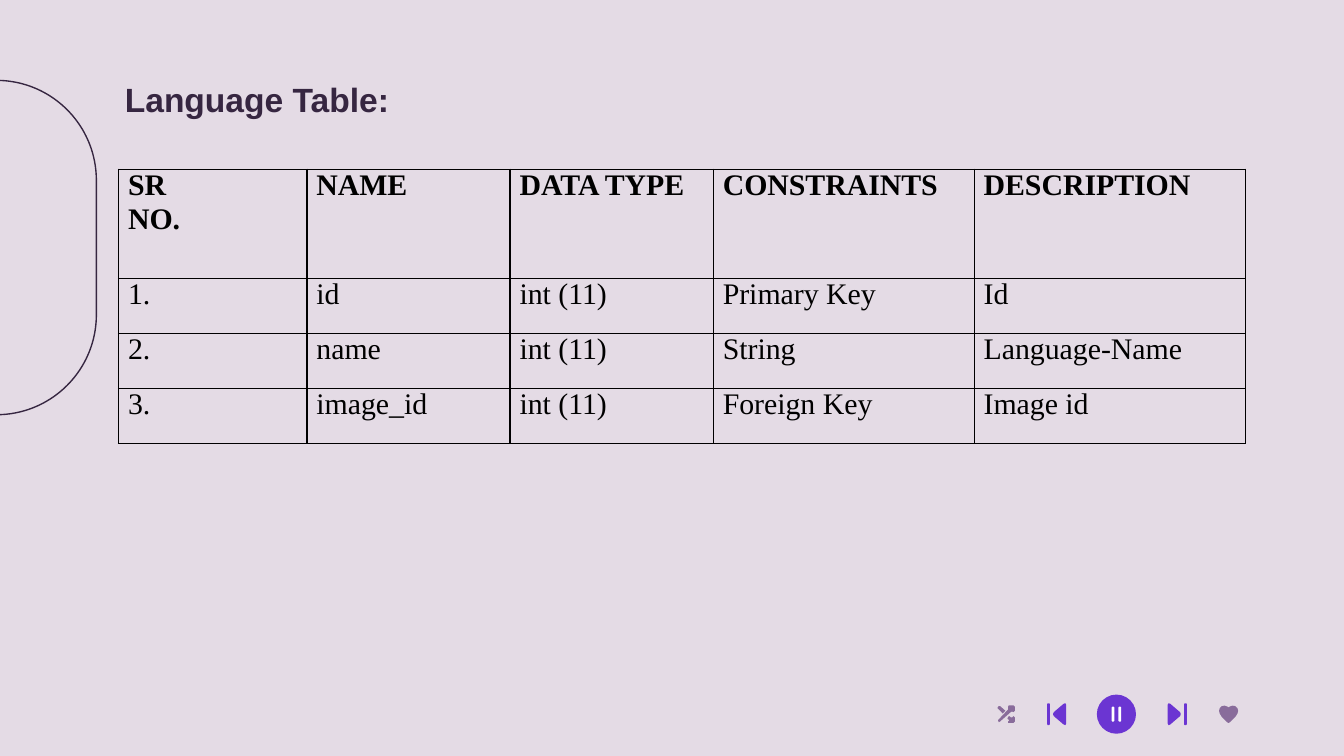
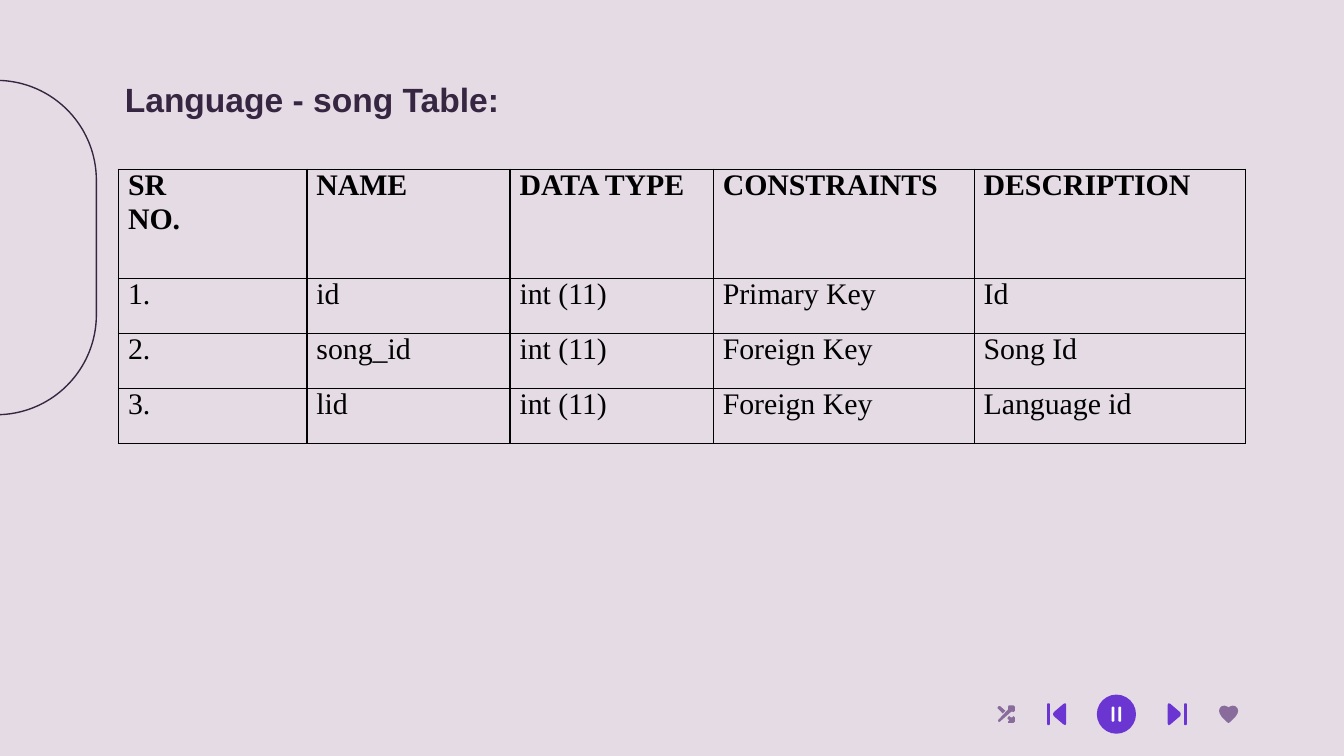
from lxml import etree
from pptx import Presentation
from pptx.dml.color import RGBColor
from pptx.enum.shapes import MSO_SHAPE
from pptx.enum.text import MSO_ANCHOR, MSO_AUTO_SIZE, PP_ALIGN
from pptx.oxml.ns import qn
from pptx.util import Cm, Pt

ROUNDED = MSO_SHAPE.ROUNDED_RECTANGLE
OVAL = MSO_SHAPE.OVAL
TOP = MSO_ANCHOR.TOP
LEFT = PP_ALIGN.LEFT
NO_AUTOFIT = MSO_AUTO_SIZE.NONE

BACKGROUND, INK, BLACK, WHITE = "E4DBE5", "362641", "000000", "FFFFFF"
PURPLE, MAUVE = "6B35D2", "896C9B"
TITLE_FONT, TABLE_FONT = "Arial", "Times New Roman"

TITLE_BOX = (2.11, 1.24, 21.41, 1.6)
TABLE_ORIGIN = (2.24, 3.2)
COLUMN_WIDTHS = (3.56, 3.84, 3.84, 4.93, 5.13)
HEADER_HEIGHT, ROW_HEIGHT = 2.06, 1.04
HEADER = ("SR\nNO.", "NAME", "DATA TYPE", "CONSTRAINTS", "DESCRIPTION")

TABLES = (
    ("Language Table:", (
        ("1.", "id", "int (11)", "Primary Key", "Id"),
        ("2.", "name", "int (11)", "String", "Language-Name"),
        ("3.", "image_id", "int (11)", "Foreign Key", "Image id"),
    )),
    ("Language - song Table:", (
        ("1.", "id", "int (11)", "Primary Key", "Id"),
        ("2.", "song_id", "int (11)", "Foreign Key", "Song Id"),
        ("3.", "lid", "int (11)", "Foreign Key", "Language id"),
    )),
)


def bar(left, top, right, bottom):
    """Outline of an upright bar with its corners cut by one unit."""
    return [(left, top + 1), (left + 1, top), (right - 1, top), (right, top + 1),
            (right, bottom - 1), (right - 1, bottom), (left + 1, bottom), (left, bottom - 1)]


def mirror(outlines, width):
    return [[(width - x, y) for x, y in outline] for outline in outlines]


# Icon outlines, each on its own grid that starts at 0, 0
PAUSE = [bar(0, 0, 4, 22), bar(10, 0, 14, 22)]
NEXT = [
    [(0, 2), (1, 0), (2, 0), (4, 1), (18, 13), (19, 15), (19, 17),
     (18, 19), (4, 31), (2, 32), (1, 32), (0, 30)],
    bar(24, 0, 28, 32),
]
PREVIOUS = mirror(NEXT, 28)
HALF_HEART = [(14, 3), (12, 1.5), (8, 0.2), (4, 1), (1, 4), (0, 8), (1, 12), (4, 17), (12, 25)]
HEART = [HALF_HEART + [(14, 26)] + mirror([HALF_HEART], 28)[0][:0:-1]]
SHUFFLE = [
    [(0, 2), (4, 6), (6, 4), (2, 0.5), (1, 0.5)],
    [(12, 8), (11, 9), (10, 9), (9, 8), (8, 8.5), (7.5, 10), (9, 11),
     (8, 12), (8, 13), (12, 13), (13, 12), (13, 9)],
    [(10, 5), (2, 12), (1, 12.5), (0.5, 11), (8, 3), (8, 1), (8.5, 0),
     (12, 0), (13, 1), (13, 4), (12, 5), (11, 4.5)],
]


def color(hex_code):
    return RGBColor.from_string(hex_code)


def paint(shape, hex_code):
    shape.shadow.inherit = False
    shape.fill.solid()
    shape.fill.fore_color.rgb = color(hex_code)
    shape.line.fill.background()


def add_run(paragraph, text, font_name, size, hex_code, bold):
    run = paragraph.add_run()
    run.text = text
    run.font.name = font_name
    run.font.size = Pt(size)
    run.font.bold = bold
    run.font.color.rgb = color(hex_code)


def add_icon(shapes, outlines, left, top, width, height, hex_code):
    """Scale the outlines from their grid to the box."""
    columns = max(x for outline in outlines for x, y in outline)
    rows = max(y for outline in outlines for x, y in outline)
    builder = None
    for outline in outlines:
        points = [(Cm(left + x / columns * width), Cm(top + y / rows * height))
                  for x, y in outline]
        if builder is None:
            builder = shapes.build_freeform(*points[0])
        else:
            builder.move_to(*points[0])
        builder.add_line_segments(points[1:], close=True)
    paint(builder.convert_to_shape(), hex_code)


def add_controls(slide, left, middle):
    """Playback row, each icon centred on the height given by middle."""
    shapes = slide.shapes.add_group_shape().shapes
    diameter = 0.74
    button = shapes.add_shape(OVAL, Cm(left + 1.88), Cm(middle - diameter / 2),
                              Cm(diameter), Cm(diameter))
    paint(button, PURPLE)
    for outlines, offset, width, height, hex_code in (
        (HEART, 4.19, 0.36, 0.33, MAUVE),
        (NEXT, 3.22, 0.36, 0.41, PURPLE),
        (PREVIOUS, 0.94, 0.36, 0.41, PURPLE),
        (SHUFFLE, 0, 0.33, 0.33, MAUVE),
        (PAUSE, 2.16, 0.18, 0.28, WHITE),
    ):
        add_icon(shapes, outlines, left + offset, middle - height / 2, width, height, hex_code)


def add_side_pill(slide, left, top, width, height):
    pill = slide.shapes.add_shape(ROUNDED, Cm(left), Cm(top), Cm(width), Cm(height))
    pill.rotation = 90
    pill.adjustments[0] = 0.5
    pill.shadow.inherit = False
    pill.fill.background()
    pill.line.color.rgb = color(INK)
    pill.line.width = Pt(0.75)


def add_title(slide, text, left, top, width, height):
    title = slide.shapes.title
    title.left, title.top, title.width, title.height = map(Cm, (left, top, width, height))
    frame = title.text_frame
    frame.auto_size = NO_AUTOFIT
    frame.word_wrap = True
    frame.vertical_anchor = TOP
    frame.margin_left = frame.margin_right = frame.margin_top = frame.margin_bottom = Cm(0.25)
    paragraph = frame.paragraphs[0]
    paragraph.alignment = LEFT
    add_run(paragraph, text, TITLE_FONT, 18, INK, True)


def add_borders(cell):
    properties = cell._tc.get_or_add_tcPr()
    for index, side in enumerate(("a:lnL", "a:lnR", "a:lnT", "a:lnB")):
        line = etree.Element(qn(side), w=str(Pt(0.75)))
        fill = etree.SubElement(line, qn("a:solidFill"))
        etree.SubElement(fill, qn("a:srgbClr"), val=BLACK)
        properties.insert(index, line)


def fill_cell(cell, text, bold):
    cell.fill.background()
    add_borders(cell)
    cell.margin_left = cell.margin_right = Cm(0.18)
    cell.margin_top = cell.margin_bottom = 0
    cell.vertical_anchor = TOP
    frame = cell.text_frame
    for index, line in enumerate(text.split("\n")):
        paragraph = frame.add_paragraph() if index else frame.paragraphs[0]
        add_run(paragraph, line, TABLE_FONT, 16, BLACK, bold)


def add_field_table(slide, records, left, top):
    rows = (HEADER,) + records
    heights = [HEADER_HEIGHT] + [ROW_HEIGHT] * len(records)
    table = slide.shapes.add_table(len(rows), len(HEADER), Cm(left), Cm(top),
                                   Cm(sum(COLUMN_WIDTHS)), Cm(sum(heights))).table
    table.first_row = table.horz_banding = False
    for column, width in zip(table.columns, COLUMN_WIDTHS):
        column.width = Cm(width)
    for row, height, texts in zip(table.rows, heights, rows):
        row.height = Cm(height)
        for cell, text in zip(row.cells, texts):
            fill_cell(cell, text, bold=texts is HEADER)


def add_table_slide(presentation, title, records):
    slide = presentation.slides.add_slide(presentation.slide_layouts.get_by_name("Title Only"))
    add_side_pill(slide, -3.23, 2.79, 6.32, 3.78)
    add_controls(slide, 18.85, 13.5)
    add_field_table(slide, records, *TABLE_ORIGIN)
    add_title(slide, title, *TITLE_BOX)


def main():
    presentation = Presentation()
    presentation.slide_width, presentation.slide_height = Cm(25.4), Cm(14.29)
    background = presentation.slide_master.background.fill
    background.solid()
    background.fore_color.rgb = color(BACKGROUND)
    for title, records in TABLES:
        add_table_slide(presentation, title, records)
    presentation.save("out.pptx")


if __name__ == "__main__":
    main()
